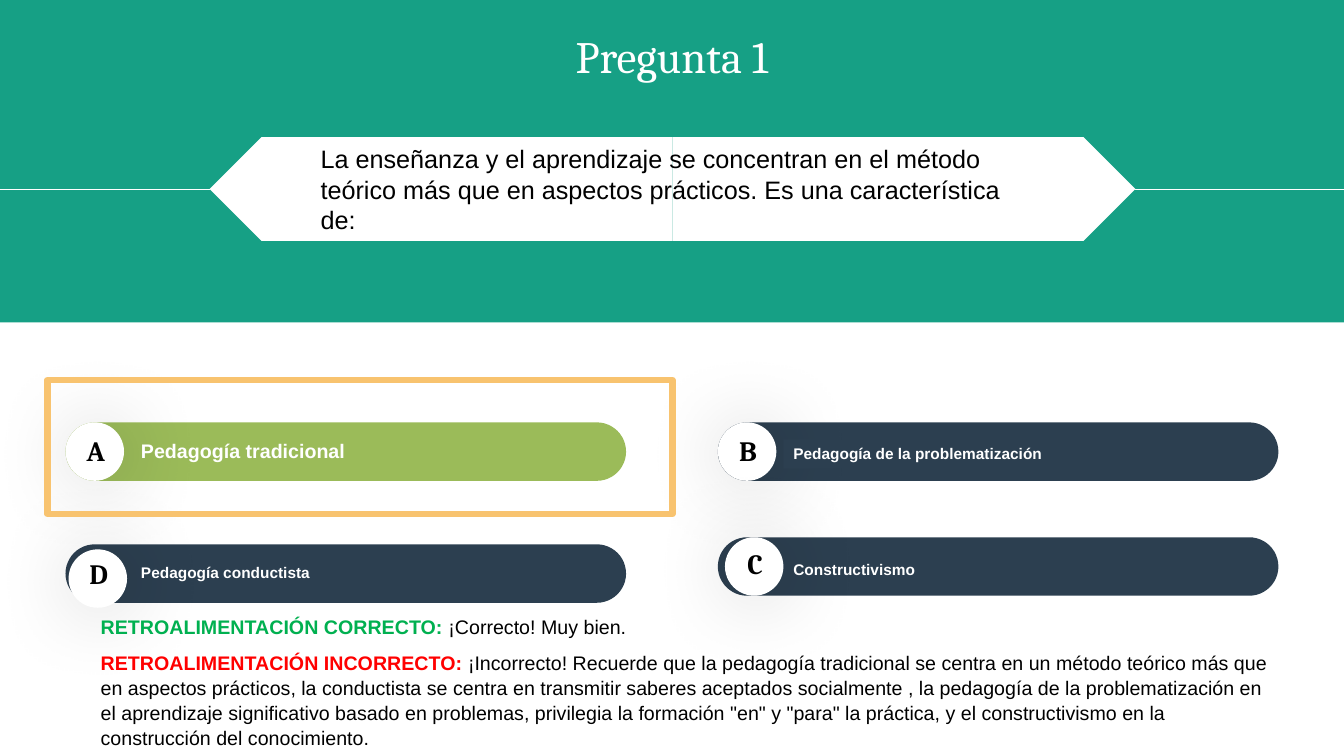
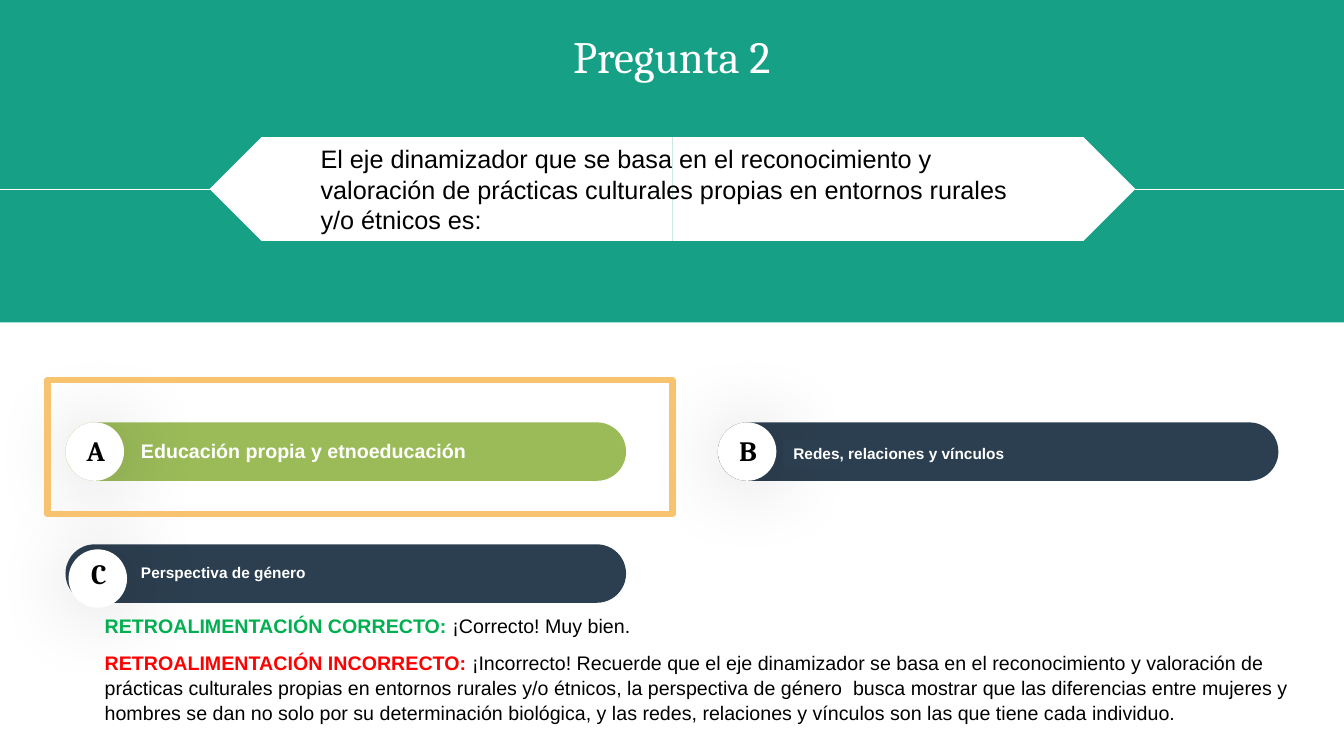
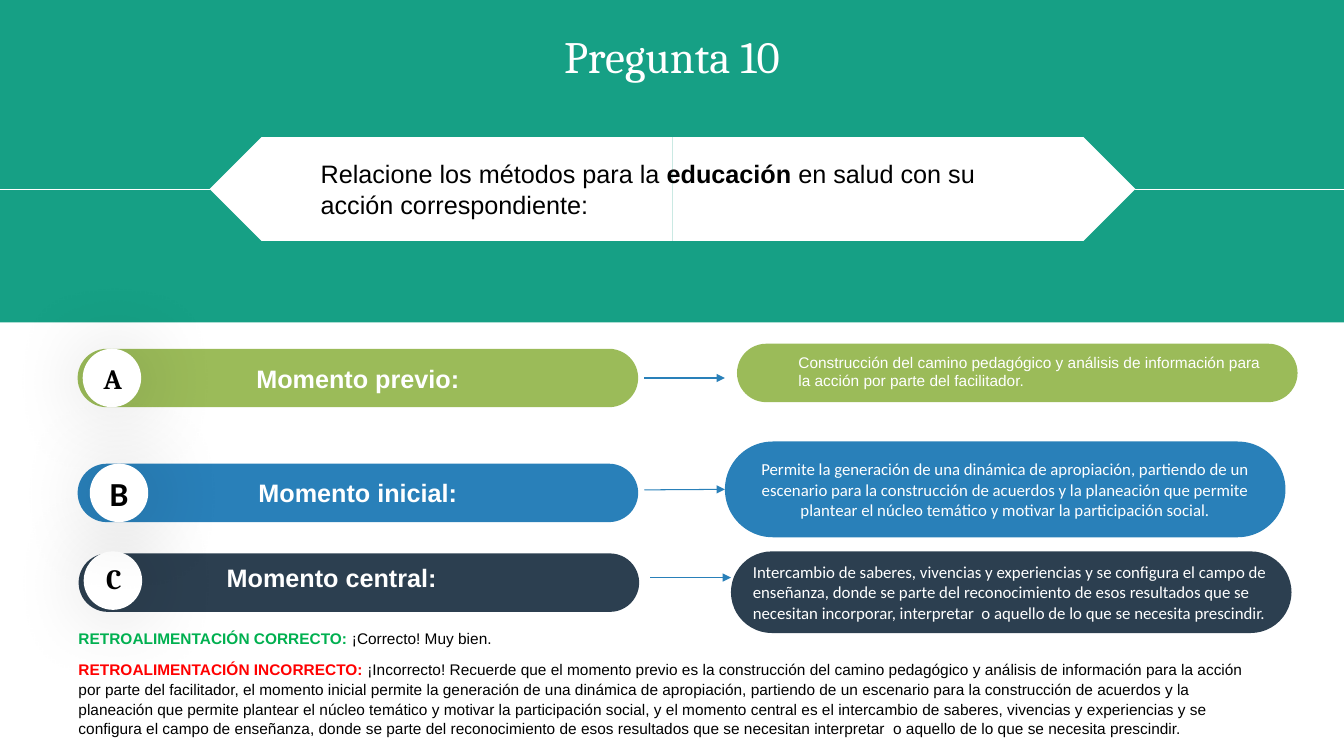
from dataclasses import dataclass
from typing import Optional

from lxml import etree
from pptx import Presentation
from pptx import util as u
from pptx.dml.color import RGBColor
from pptx.enum import shapes, text
from pptx.oxml import ns
from pptx.shapes.autoshape import Shape
from pptx.shapes.connector import Connector
from pptx.slide import Slide

KIND = shapes.MSO_SHAPE
LEFT, MID = text.PP_ALIGN.LEFT, text.PP_ALIGN.CENTER
WIDE, TALL = 13.33, 7.5
PILL, DISC = 5.56, 0.58


@dataclass(frozen=True)
class Theme:
    teal: str = "16A085"
    navy: str = "2C3F50"
    olive: str = "9BBB59"
    blue: str = "2980B9"
    gold: str = "F8C36F"
    white: str = "FFFFFF"
    black: str = "000000"
    green: str = "00B050"
    red: str = "FF0000"
    sans: str = "Arial"
    serif: str = "Cambria"
    human: str = "Calibri"
    title: int = 32
    badge: int = 20
    large: int = 18
    body: int = 14
    note: int = 12
    small: int = 11


T = Theme()


@dataclass(frozen=True)
class Run:
    text: str
    color: Optional[str] = None
    bold: Optional[bool] = None


@dataclass(frozen=True)
class Style:
    size: int
    face: str = T.sans
    color: str = T.white
    bold: bool = False
    align: text.PP_ALIGN = LEFT
    mid: bool = False
    flush: bool = False
    line: Optional[float] = None
    gap: int = 0


TITLE = Style(T.title, T.serif, align=MID)
BADGE = Style(T.badge, T.serif, T.black, True, MID, True, True)
PROMPT = Style(T.large, color=T.black, mid=True, flush=True)
RIGHT = Style(T.body, bold=True)
WRONG = Style(T.small, bold=True)
STAGE = Style(T.large, bold=True, align=MID, mid=True)

Paras = list[list[Run]]


@dataclass(frozen=True)
class Choice:
    mark: str
    label: str
    x: float
    y: float
    drop: float
    dx: float = 0
    dy: float = 0
    rise: float = 0.11
    good: bool = False
    solid: bool = False


@dataclass(frozen=True)
class Reply:
    x: float
    y: float
    w: float
    h: float
    text: str
    size: int = T.body


@dataclass(frozen=True)
class Quiz:
    title: str
    prompt: list[Run]
    choices: list[Choice]
    reply: Reply


def rgb(code: str) -> RGBColor:
    return RGBColor.from_string(code)


def write(shape: Shape, paras: Paras, style: Style) -> None:
    frame = shape.text_frame
    frame.word_wrap = True
    frame.vertical_anchor = text.MSO_ANCHOR.MIDDLE if style.mid else text.MSO_ANCHOR.TOP
    side, edge = (0, 0) if style.flush else (0.1, 0.05)
    frame.margin_left = frame.margin_right = u.Inches(side)
    frame.margin_top = frame.margin_bottom = u.Inches(edge)
    for i, runs in enumerate(paras):
        para = frame.add_paragraph() if i else frame.paragraphs[0]
        para.alignment = style.align
        if style.line:
            para.line_spacing = style.line
        if i and style.gap:
            para.space_before = u.Pt(style.gap)
        font = para.font
        font.size, font.name, font.bold = u.Pt(style.size), style.face, style.bold
        font.color.rgb = rgb(style.color)
        for item in runs:
            run = para.add_run()
            run.text = item.text
            if item.bold is not None:
                run.font.bold = item.bold
            if item.color:
                run.font.color.rgb = rgb(item.color)


def label(slide: Slide, x: float, y: float, w: float, h: float,
          paras: Paras, style: Style, fill: Optional[str] = None) -> Shape:
    box = slide.shapes.add_textbox(*map(u.Inches, (x, y, w, h)))
    write(box, paras, style)
    box.text_frame.auto_size = text.MSO_AUTO_SIZE.SHAPE_TO_FIT_TEXT
    if fill:
        box.fill.solid()
        box.fill.fore_color.rgb = rgb(fill)
    return box


def block(slide: Slide, kind: KIND, x: float, y: float, w: float, h: float,
          fill: str) -> Shape:
    shape = slide.shapes.add_shape(kind, *map(u.Inches, (x, y, w, h)))
    shape.shadow.inherit = False
    shape.fill.solid()
    shape.fill.fore_color.rgb = rgb(fill)
    shape.line.fill.background()
    return shape


def pill(slide: Slide, x: float, y: float, fill: str, h: float = DISC) -> Shape:
    shape = block(slide, KIND.ROUNDED_RECTANGLE, x, y, PILL, h, fill)
    shape.adjustments[0] = 0.5
    return shape


def disc(slide: Slide, x: float, y: float) -> Shape:
    shape = block(slide, KIND.OVAL, x, y, DISC, DISC, T.white)
    glow = shape._element.spPr.find(ns.qn("a:effectLst"))
    cast = etree.SubElement(glow, ns.qn("a:outerShdw"), blurRad=str(u.Pt(59)),
                            dist=str(u.Pt(3)), dir="2700000", algn="tl", rotWithShape="0")
    tint = etree.SubElement(cast, ns.qn("a:srgbClr"), val=T.black)
    etree.SubElement(tint, ns.qn("a:alpha"), val="20000")
    return shape


def badge(slide: Slide, mark: str, x: float, y: float, rise: float = 0.11) -> None:
    disc(slide, x, y)
    label(slide, x + 0.12, y + rise, 0.36, 0.34, [[Run(mark)]], BADGE)


def rule(slide: Slide, x: float, y: float, end: float, color: str,
         arrow: bool = False) -> Connector:
    line = slide.shapes.add_connector(shapes.MSO_CONNECTOR.STRAIGHT,
                                      *map(u.Inches, (x, y, end, y)))
    line.line.color.rgb = rgb(color)
    line.line.width = u.Pt(0.75)
    if arrow:
        etree.SubElement(line.line._get_or_add_ln(), ns.qn("a:tailEnd"), type="triangle")
    etree.SubElement(line._element.spPr, ns.qn("a:effectLst"))
    return line


def head(slide: Slide, quiz: Quiz) -> None:
    block(slide, KIND.RECTANGLE, 0, 0, WIDE, 3.2, T.teal)
    label(slide, 0, 0.24, WIDE, 0.64, [[Run(quiz.title)]], TITLE)
    half, edge = 4.59, 2.08
    for x, turn in ((edge + half, 0), (edge, 180)):
        block(slide, KIND.PENTAGON, x, 1.36, half, 1.03, T.white).rotation = turn
    label(slide, 3.18, 1.42, 6.97, 0.91, [quiz.prompt], PROMPT)
    rule(slide, edge + 2 * half, 1.88, WIDE, T.white)
    rule(slide, 0, 1.88, edge, T.white)


def answer(slide: Slide, item: Choice) -> None:
    fill = T.olive if item.good else T.navy
    pill(slide, item.x, item.y, fill)
    badge(slide, item.mark, item.x + item.dx, item.y + item.dy, item.rise)
    label(slide, item.x + 0.65, item.y + item.drop, 4.85, 0.29, [[Run(item.label)]],
          RIGHT if item.good else WRONG, fill if item.solid else None)


def respond(slide: Slide, reply: Reply) -> None:
    paras = [
        [Run("RETROALIMENTACIÓN CORRECTO: ", T.green, True), Run("¡Correcto! Muy bien.")],
        [Run("RETROALIMENTACIÓN INCORRECTO: ", T.red, True), Run(reply.text)],
    ]
    label(slide, reply.x, reply.y, reply.w, reply.h, paras,
          Style(reply.size, color=T.black, line=1.07, gap=8))


def frame(slide: Slide) -> None:
    box = block(slide, KIND.RECTANGLE, 0.47, 3.77, 6.2, 1.33, T.white)
    box.fill.background()
    box.line.color.rgb = rgb(T.gold)
    box.line.width = u.Pt(4.5)


def match(slide: Slide) -> None:
    pill(slide, 7.31, 3.41, T.olive)
    label(slide, 7.82, 3.45, 4.85, 0.47, [[Run(
        "Construcción del camino pedagógico y análisis de información para "
        "la acción por parte del facilitador.")]], Style(T.small), T.olive)
    last = pill(slide, 7.25, 5.47, T.navy, 0.81)
    write(last, [[Run(
        "Intercambio de saberes, vivencias y experiencias y se configura el campo de "
        "enseñanza, donde se parte del reconocimiento de esos resultados que se "
        "necesitan incorporar, interpretar  o aquello de lo que se necesita prescindir.")]],
        Style(T.note, T.human, mid=True))
    first = pill(slide, 0.77, 3.46, T.olive)
    write(first, [[Run("Momento previo:")]], STAGE)
    badge(slide, "A", 0.82, 3.46, 0.12)
    pill(slide, 0.78, 5.49, T.navy)
    badge(slide, "C", 0.83, 5.47, 0.1)
    label(slide, 2.15, 5.53, 4.85, 0.4, [[Run("Momento central:")]],
          Style(T.large, bold=True))
    start = pill(slide, 0.77, 4.6, T.blue)
    write(start, [[Run("Momento inicial:")]], STAGE)
    goal = pill(slide, 7.19, 4.38, T.blue, 0.95)
    write(goal, [
        [Run("Permite la generación de una dinámica de apropiación, partiendo de un")],
        [Run("escenario para la construcción de acuerdos y la planeación que permite "
             "plantear el núcleo temático y motivar la participación social.")],
    ], Style(T.note, T.human, align=MID, mid=True))
    write(disc(slide, 0.89, 4.6), [[Run("B")]],
          Style(24, T.human, T.black, True, MID, True))
    rule(slide, 6.39, 3.75, 7.19, T.blue, True)
    rule(slide, 6.39, 4.86, 7.19, T.blue, True).end_connect(goal, 1)
    rule(slide, 6.45, 5.73, 7.25, T.blue, True)


QUIZZES = [
    Quiz(
        "Pregunta 1",
        [Run("La enseñanza y el aprendizaje se concentran en el método teórico más que "
             "en aspectos prácticos. Es una característica de:")],
        [
            Choice("B", "Pedagogía de la problematización", 7.12, 4.19, 0.17, solid=True),
            Choice("C", "Constructivismo", 7.12, 5.33, 0.18, 0.07, 0, 0.09),
            Choice("A", "Pedagogía tradicional", 0.65, 4.19, 0.12, good=True),
            Choice("D", "Pedagogía conductista", 0.65, 5.4, 0.14, 0.03, 0.05, 0.07),
        ],
        Reply(0.9, 6.03, 11.89, 1.41,
              "¡Incorrecto! Recuerde que la pedagogía tradicional se centra en un método "
              "teórico más que en aspectos prácticos, la conductista se centra en "
              "transmitir saberes aceptados socialmente , la pedagogía de la "
              "problematización en el aprendizaje significativo basado en problemas, "
              "privilegia la formación \"en\" y \"para\" la práctica, y el "
              "constructivismo en la construcción del conocimiento."),
    ),
    Quiz(
        "Pregunta 2",
        [Run("El eje dinamizador que se basa en el reconocimiento y valoración de "
             "prácticas culturales propias en entornos rurales y/o étnicos es:")],
        [
            Choice("B", "Redes, relaciones y vínculos", 7.12, 4.19, 0.17, solid=True),
            Choice("A", "Educación propia y etnoeducación", 0.65, 4.19, 0.12, good=True),
            Choice("C", "Perspectiva de género", 0.65, 5.4, 0.14, 0.03, 0.05, 0.07),
        ],
        Reply(0.94, 6.03, 12.03, 1.17,
              "¡Incorrecto! Recuerde que el eje dinamizador se basa en el reconocimiento "
              "y valoración de prácticas culturales propias en entornos rurales y/o "
              "étnicos, la perspectiva de género  busca mostrar que las diferencias "
              "entre mujeres y hombres se dan no solo por su determinación biológica, y "
              "las redes, relaciones y vínculos son las que tiene cada individuo."),
    ),
    Quiz(
        "Pregunta 10",
        [Run("Relacione los métodos para la "), Run("educación", bold=True),
         Run(" en salud con su acción correspondiente:")],
        [],
        Reply(0.68, 6.18, 11.98, 1.15,
              "¡Incorrecto! Recuerde que el momento previo es la construcción del camino "
              "pedagógico y análisis de información para la acción por parte del "
              "facilitador, el momento inicial permite la generación de una dinámica de "
              "apropiación, partiendo de un escenario para la construcción de acuerdos y "
              "la planeación que permite plantear el núcleo temático y motivar la "
              "participación social, y el momento central es el intercambio de saberes, "
              "vivencias y experiencias y se configura el campo de enseñanza, donde se "
              "parte del reconocimiento de esos resultados que se necesitan interpretar  "
              "o aquello de lo que se necesita prescindir.", T.small),
    ),
]


def main() -> None:
    deck = Presentation()
    deck.slide_width, deck.slide_height = u.Inches(WIDE), u.Inches(TALL)
    for quiz in QUIZZES:
        slide = deck.slides.add_slide(deck.slide_layouts[6])
        head(slide, quiz)
        for item in quiz.choices:
            answer(slide, item)
        if quiz.choices:
            frame(slide)
        else:
            match(slide)
        respond(slide, quiz.reply)
    deck.save("out.pptx")


if __name__ == "__main__":
    main()
